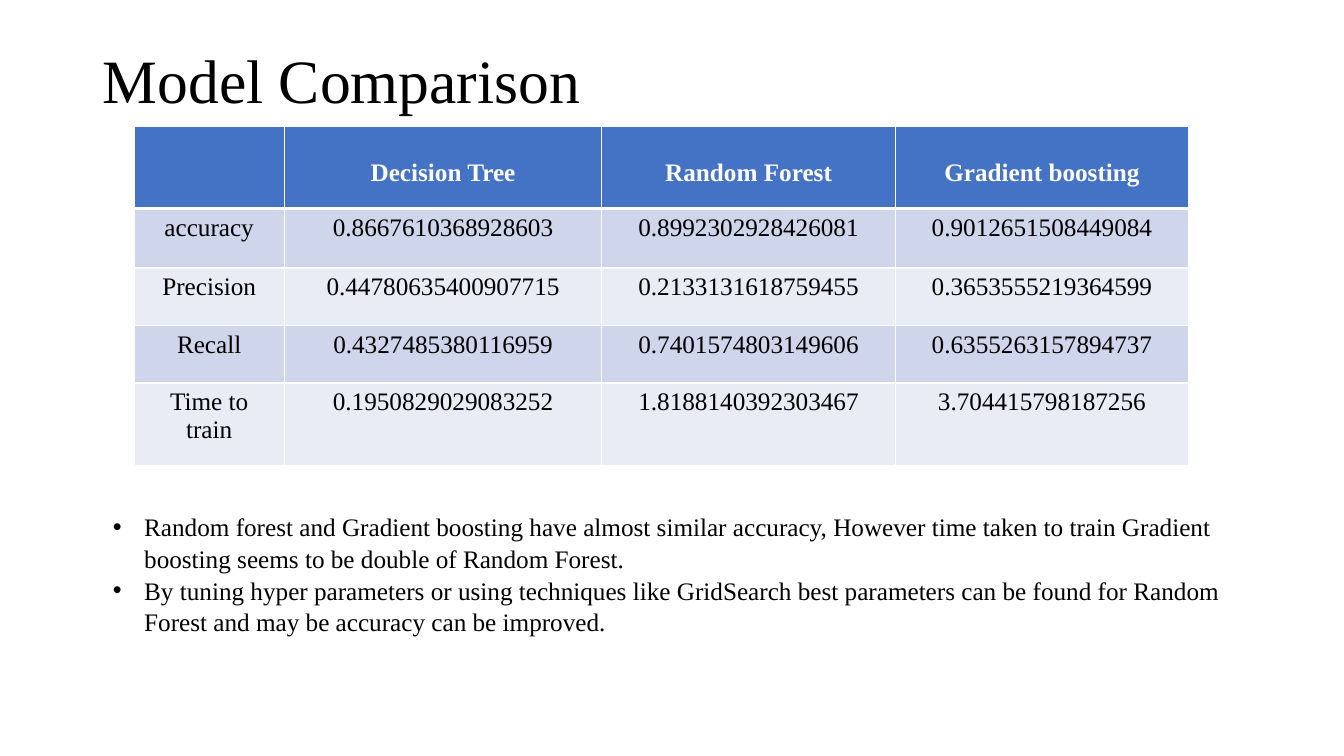
from lxml import etree
from pptx import Presentation
from pptx.dml.color import RGBColor
from pptx.enum.text import MSO_ANCHOR, MSO_AUTO_SIZE, PP_ALIGN
from pptx.oxml.ns import qn
from pptx.util import Inches, Pt

LEFT, CENTER = PP_ALIGN.LEFT, PP_ALIGN.CENTER
TOP, MIDDLE = MSO_ANCHOR.TOP, MSO_ANCHOR.MIDDLE
FONT = "Times New Roman"
COLORS = {"head": "4472C4", "odd": "CFD5EA", "even": "E9EBF5",
          "white": "FFFFFF", "black": "000000"}


def add_run(para, text, size, color="black", bold=False):
    run = para.add_run()
    run.text = text
    run.font.name, run.font.size, run.font.bold = FONT, Pt(size), bold
    run.font.color.rgb = RGBColor.from_string(COLORS[color])


def add_edge(cell, side, width):
    props = cell._tc.get_or_add_tcPr()
    line = etree.SubElement(props, qn("a:" + side), w=str(Pt(width)))
    fill = etree.SubElement(line, qn("a:solidFill"))
    etree.SubElement(fill, qn("a:srgbClr"), val=COLORS["white"])


deck = Presentation()
deck.slide_width, deck.slide_height = Inches(13.33), Inches(7.5)
slide = deck.slides.add_slide(deck.slide_layouts[1])
title, body = slide.placeholders

# Title
title.left, title.top = Inches(0.92), Inches(0.4)
title.width, title.height = Inches(11.5), Inches(0.85)
frame = title.text_frame
frame.auto_size, frame.vertical_anchor = MSO_AUTO_SIZE.NONE, MIDDLE
para = frame.paragraphs[0]
para.alignment, para.line_spacing = LEFT, 0.9
add_run(para, "Model Comparison", 44)

# Table of scores
ROWS = [
    ["", "Decision Tree", "Random Forest", "Gradient boosting"],
    ["accuracy", "0.8667610368928603", "0.8992302928426081", "0.9012651508449084"],
    ["Precision", "0.44780635400907715", "0.2133131618759455", "0.3653555219364599"],
    ["Recall", "0.4327485380116959", "0.7401574803149606", "0.6355263157894737"],
    ["Time to train", "0.1950829029083252", "1.8188140392303467", "3.704415798187256"],
]
WIDTHS = [1.49, 3.15, 2.91, 2.91]
HEIGHTS = [0.82, 0.59, 0.57, 0.57, 0.82]
table = slide.shapes.add_table(
    len(ROWS), len(WIDTHS), Inches(1.33), Inches(1.25),
    Inches(sum(WIDTHS)), Inches(sum(HEIGHTS))).table
for col, width in zip(table.columns, WIDTHS):
    col.width = Inches(width)
for r, (row, height) in enumerate(zip(ROWS, HEIGHTS)):
    table.rows[r].height = Inches(height)
    head = r == 0
    band = "head" if head else "odd" if r % 2 else "even"
    for c, text in enumerate(row):
        cell = table.cell(r, c)
        cell.vertical_anchor = TOP
        if head:
            cell.margin_top = Inches(0.33)
        for side in ("lnL", "lnR", "lnT", "lnB"):
            thick = (head and side == "lnB") or (r == 1 and side == "lnT")
            add_edge(cell, side, 3 if thick else 1)
        cell.fill.solid()
        cell.fill.fore_color.rgb = RGBColor.from_string(COLORS[band])
        para = cell.text_frame.paragraphs[0]
        para.alignment = CENTER
        if text:
            add_run(para, text, 18, "white" if head else "black", head)

# Findings
NOTES = [
    "Random forest and Gradient boosting have almost similar accuracy, However "
    "time taken to train Gradient boosting seems to be double of Random Forest.",
    "By tuning hyper parameters or using techniques like GridSearch best "
    "parameters can be found for Random Forest and may be accuracy can be improved.",
]
body.left, body.top = Inches(1.02), Inches(5.01)
body.width, body.height = Inches(11.3), Inches(1.31)
frame = body.text_frame
frame.auto_size, frame.vertical_anchor = MSO_AUTO_SIZE.NONE, TOP
for i, note in enumerate(NOTES):
    para = frame.add_paragraph() if i else frame.paragraphs[0]
    para.alignment, para.line_spacing = LEFT, 1.05
    para.space_before = para.space_after = Pt(0)
    props = para._p.get_or_add_pPr()
    props.set("marL", str(Inches(0.31)))
    props.set("indent", str(-Inches(0.31)))
    etree.SubElement(props, qn("a:buFont"), typeface="Arial")
    etree.SubElement(props, qn("a:buChar"), char="•")
    add_run(para, note, 18)

deck.save("out.pptx")
